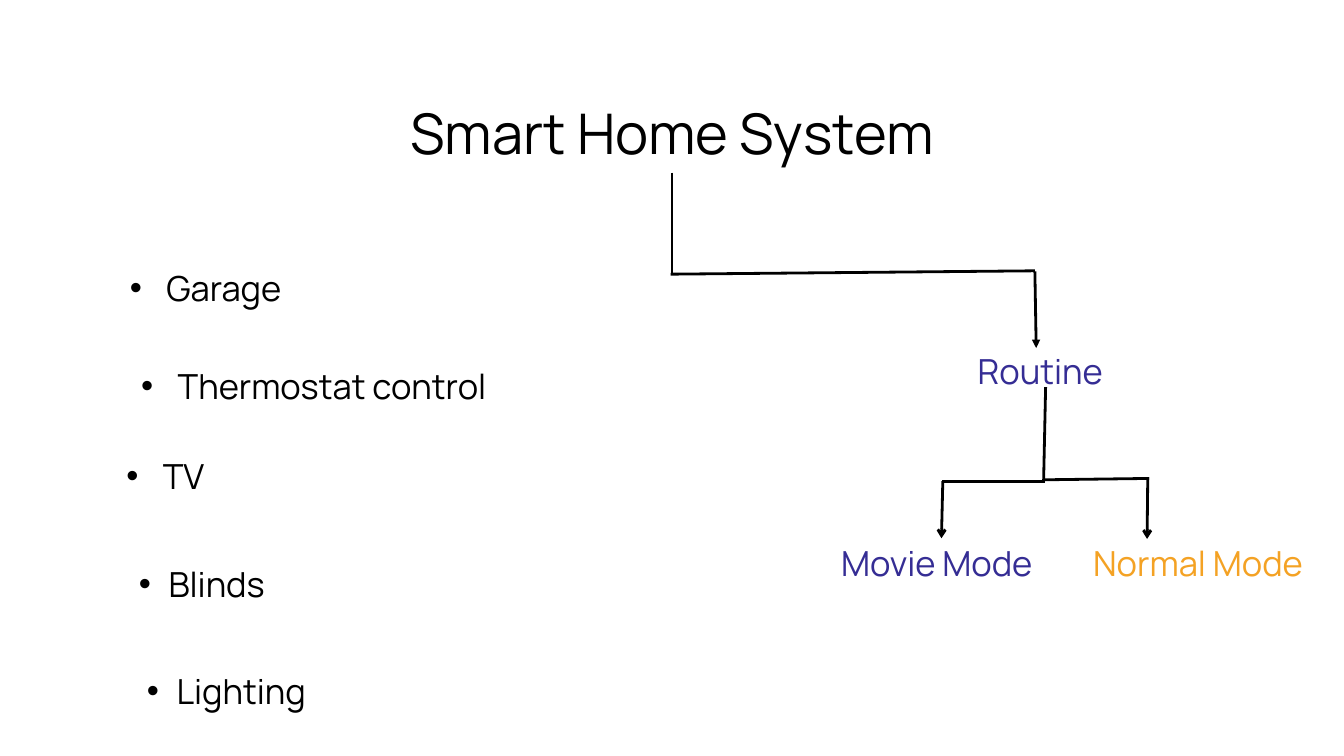
from lxml.etree import SubElement as Sub
from pptx import Presentation
from pptx.dml.color import RGBColor
from pptx.enum.shapes import MSO_CONNECTOR as Link
from pptx.enum.text import MSO_ANCHOR as Anchor, MSO_AUTO_SIZE as Fit, PP_ALIGN as Align
from pptx.oxml.ns import qn
from pptx.util import Inches, Pt

BLACK, PURPLE, ORANGE = "000000", "352D94", "F4A224"


def paint(color):
    return RGBColor.from_string(color)


class Board:
    font = "Manrope"
    size, lead = 37, 55.5
    width = 3

    def __init__(self, slide):
        self.slide = slide

    def fill_text(self, shape, text, color, size, lead):
        frame = shape.text_frame
        frame.word_wrap = True
        frame.auto_size = Fit.NONE
        frame.vertical_anchor = Anchor.TOP
        frame.margin_left = frame.margin_right = 0
        frame.margin_top = frame.margin_bottom = 0
        para = frame.paragraphs[0]
        para.alignment = Align.CENTER
        para.line_spacing = Pt(lead)
        para.space_before = Pt(0)
        run = para.add_run()
        run.text = text
        run.font.name = self.font
        run.font.size = Pt(size)
        run.font.color.rgb = paint(color)
        return para

    def title(self, text, left, top, wide, high):
        shape = self.slide.shapes.title
        shape.left, shape.top = Inches(left), Inches(top)
        shape.width, shape.height = Inches(wide), Inches(high)
        self.fill_text(shape, text, BLACK, 60, 61.2)
        return shape

    def label(self, text, left, top, wide, high=0.73, color=BLACK):
        box = self.slide.shapes.add_textbox(
            Inches(left), Inches(top), Inches(wide), Inches(high))
        return self.fill_text(box, text, color, self.size, self.lead)

    def bullet(self, text, left, top, wide):
        para = self.label(text, left, top, wide)
        para.level = 1
        props = para._p.get_or_add_pPr()
        props.set("marL", str(Inches(0.87)))
        props.set("indent", str(Inches(-0.44)))
        Sub(props, qn("a:buFont"), typeface="Arial")
        Sub(props, qn("a:buChar"), char="•")

    def line(self, start, end, head=None):
        link = self.slide.shapes.add_connector(
            Link.STRAIGHT, *(Inches(v) for v in (*start, *end)))
        link.line.color.rgb = paint(BLACK)
        link.line.width = Pt(self.width)
        if head:
            Sub(link.line._get_or_add_ln(), qn("a:tailEnd"), type=head)
        Sub(link._element.spPr, qn("a:effectLst"))
        return link


def main():
    deck = Presentation()
    deck.slide_width, deck.slide_height = Inches(20), Inches(11.25)
    board = Board(deck.slides.add_slide(deck.slide_layouts[5]))

    # Title and the line that leaves it
    title = board.title("Smart Home System", 3.29, 1.62, 13.42, 0.95)
    board.line((10, 2.57), (10, 4.09)).begin_connect(title, 2)

    # Branch to the routine
    board.line((9.98, 4.08), (15.4, 4.03))
    board.line((15.4, 4.04), (15.42, 5.18), "triangle")
    board.label("Routine", 14.33, 5.06, 2.3, color=PURPLE)

    # Fork to the two modes
    board.line((15.56, 5.76), (15.53, 7.16))
    board.line((15.54, 7.14), (17.1, 7.12))
    board.line((14.02, 7.16), (15.55, 7.16))
    board.line((14.03, 7.16), (14.01, 8.01), "arrow")
    board.line((17.08, 7.1), (17.07, 8.02), "arrow")
    board.label("Movie Mode", 12.36, 7.91, 3.16, 0.78, PURPLE)
    board.label("Normal Mode ", 16.05, 7.91, 3.66, 0.78, ORANGE)

    # Parts of the home
    for text, left, top, wide in (
        (" Garage", 0.92, 3.82, 3.85),
        (" Thermostat control", 0.92, 5.28, 7.07),
        (" TV", 0.94, 6.62, 2.61),
        ("Blinds ", 1.33, 8.22, 3.02),
        ("Lighting", 1.4, 9.82, 3.51),
    ):
        board.bullet(text, left, top, wide)

    deck.save("out.pptx")


if __name__ == "__main__":
    main()
